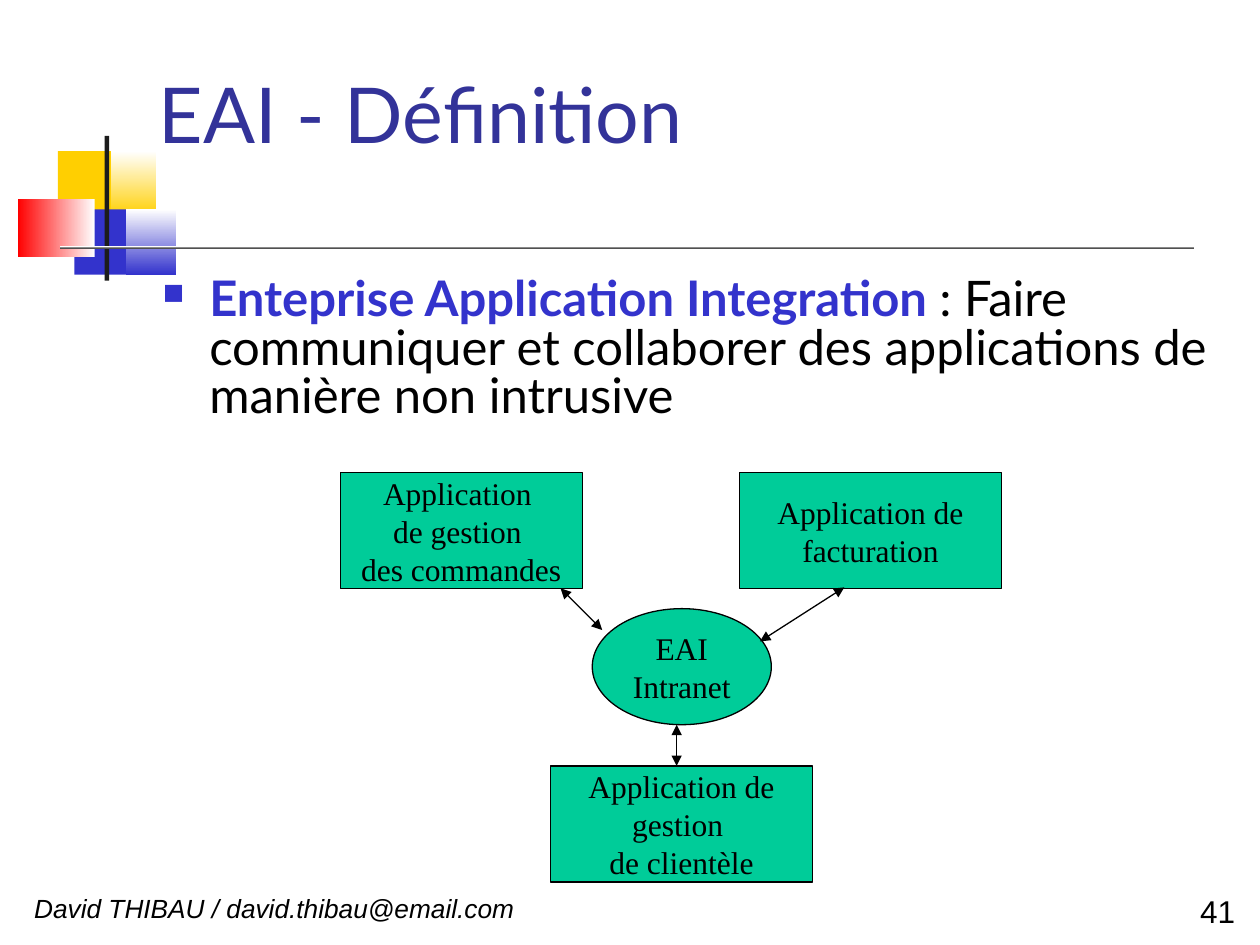
from lxml import etree
from pptx import Presentation
from pptx.dml.color import RGBColor
from pptx.enum import shapes, text
from pptx.oxml import ns
from pptx.util import Cm, Pt

COLOURS = {
    "black": "000000",
    "white": "FFFFFF",
    "charcoal": "1C1C1C",
    "yellow": "FFCF01",
    "blue": "3333CC",
    "red": "FF0000",
    "title": "333399",
    "green": "00CC99",
}


def colour(name):
    return RGBColor.from_string(COLOURS[name])


def add_element(parent, tag, **attributes):
    return etree.SubElement(parent, ns.qn(tag), attributes)


class SlideBuilder:
    line_width = Pt(0.75)
    diagram_font = ("Times New Roman", 18, "black")

    def __init__(self, page):
        self.page = page

    def style(self, font, name, size, shade=None):
        font.name = name
        font.size = Pt(size)
        if shade:
            font.color.rgb = colour(shade)

    def block(self, place, fill, fade=None, angle=90):
        box = self.page.shapes.add_shape(
            shapes.MSO_SHAPE.RECTANGLE, *map(Cm, place))
        box.shadow.inherit = False
        box.line.fill.background()
        if fade:
            box.fill.gradient()
            box.fill.gradient_angle = angle
            for stop, shade in zip(box.fill.gradient_stops, (fill, fade)):
                stop.color.rgb = colour(shade)
        else:
            box.fill.solid()
            box.fill.fore_color.rgb = colour(fill)

    def label(self, place, words, font, spacing, anchor=text.MSO_ANCHOR.TOP,
              align=text.PP_ALIGN.LEFT):
        box = self.page.shapes.add_textbox(*map(Cm, place))
        frame = box.text_frame
        frame.word_wrap = True
        frame.vertical_anchor = anchor
        frame.margin_left = frame.margin_right = 0
        frame.margin_top = frame.margin_bottom = 0
        para = frame.paragraphs[0]
        para.text = words
        para.alignment = align
        para.line_spacing = spacing
        self.style(para.font, *font)
        return para

    def definition(self, place, term, meaning):
        para = self.label(place, "", ("Lato", 28), 0.82)
        properties = para._p.get_or_add_pPr()
        properties.set("marL", str(Cm(0.94)))
        properties.set("indent", str(-Cm(0.94)))
        defaults = properties.find(ns.qn("a:defRPr"))
        properties.remove(defaults)
        bullet_colour = add_element(properties, "a:buClr")
        add_element(bullet_colour, "a:srgbClr", val=COLOURS["blue"])
        add_element(properties, "a:buSzPct", val="60000")
        add_element(properties, "a:buChar", char="■")
        properties.append(defaults)
        for words, shade, bold in ((term, "blue", True),
                                   (meaning, "black", False)):
            span = para.add_run()
            span.text = words
            span.font.bold = bold
            span.font.color.rgb = colour(shade)

    def node(self, kind, place, lines):
        box = self.page.shapes.add_shape(kind, *map(Cm, place))
        box.shadow.inherit = False
        box.fill.solid()
        box.fill.fore_color.rgb = colour("green")
        box.line.color.rgb = colour("black")
        box.line.width = self.line_width
        frame = box.text_frame
        frame.word_wrap = False
        frame.vertical_anchor = text.MSO_ANCHOR.MIDDLE
        frame.text = "\n".join(lines)
        for para in frame.paragraphs:
            para.alignment = text.PP_ALIGN.CENTER
            self.style(para.font, *self.diagram_font)

    def arrow(self, ends):
        line = self.page.shapes.add_connector(
            shapes.MSO_CONNECTOR.STRAIGHT, *map(Cm, ends))
        line.line.color.rgb = colour("black")
        line.line.width = self.line_width
        outline = line.line._get_or_add_ln()
        for end in ("a:headEnd", "a:tailEnd"):
            add_element(outline, end, type="triangle")
        add_element(line._element.spPr, "a:effectLst")


def main():
    deck = Presentation()
    deck.slide_width, deck.slide_height = Cm(25.4), Cm(19.05)
    builder = SlideBuilder(deck.slides.add_slide(deck.slide_layouts[6]))

    builder.block((1.17, 3.05, 1.21, 1.32), "yellow")
    builder.block((2.24, 3.05, 0.91, 1.32), "yellow", "white")
    builder.block((1.5, 4.22, 1.17, 1.32), "blue")
    builder.block((2.54, 4.22, 1.02, 1.32), "blue", "white")
    builder.block((0.36, 4.01, 1.55, 1.17), "white", "red", 180)
    builder.block((2.11, 2.74, 0.09, 2.92), "charcoal")
    builder.block((1.22, 4.95, 22.86, 0.08), "charcoal", "white")

    footer = builder.label((0.69, 18.14, 21.62, 0.48),
                           "David THIBAU / david.thibau@email.com",
                           ("Arial", 15, "black"), 0.76)
    footer.font.italic = True
    builder.label((22, 18.16, 2.9, 0.58), "41", ("Arial", 18, "black"), 0.76,
                  align=text.PP_ALIGN.RIGHT)
    builder.label((3.2, 0.23, 21.64, 4.42), "EAI - Définition",
                  ("Lato", 44, "title"), 0.82, text.MSO_ANCHOR.MIDDLE)
    builder.definition(
        (3.28, 5.61, 21.59, 4.93), "Enteprise Application Integration",
        " : Faire communiquer et collaborer des applications de manière "
        "non intrusive")

    rectangle, oval = shapes.MSO_SHAPE.RECTANGLE, shapes.MSO_SHAPE.OVAL
    builder.node(rectangle, (6.86, 9.53, 4.88, 2.34),
                 ("Application ", "de gestion ", "des commandes"))
    builder.node(rectangle, (14.91, 9.53, 5.28, 2.34),
                 ("Application de", "facturation"))
    builder.node(rectangle, (11.1, 15.44, 5.28, 2.34),
                 ("Application de", "gestion ", "de clientèle"))
    builder.node(oval, (11.94, 12.27, 3.61, 2.34), ("EAI", "Intranet"))

    for ends in ((13.64, 14.61, 13.64, 15.44),
                 (15.32, 12.93, 17.02, 11.84),
                 (11.3, 11.86, 12.14, 12.7)):
        builder.arrow(ends)

    deck.save("out.pptx")


if __name__ == "__main__":
    main()
